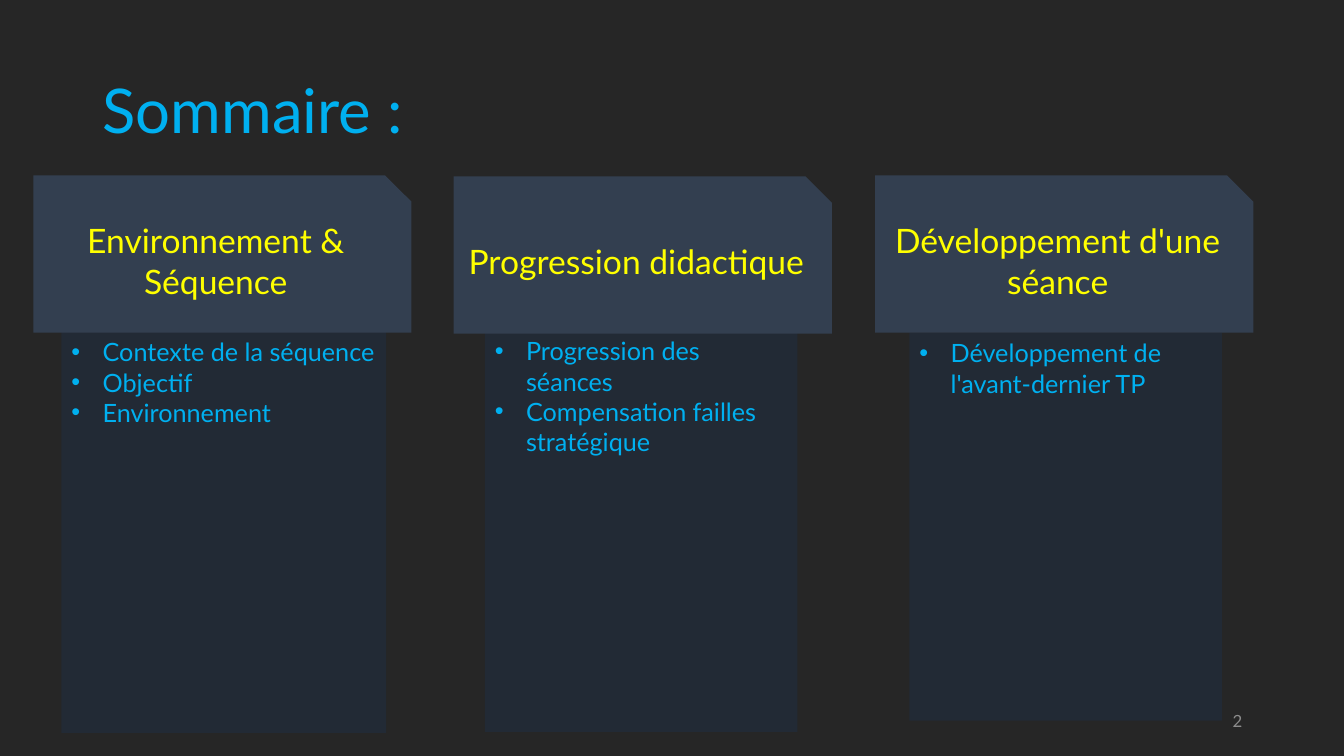
"""Build the "Sommaire" slide: three headed columns listing the parts of the talk."""
from lxml.etree import SubElement
from pptx import Presentation
from pptx.dml.color import RGBColor
from pptx.enum.shapes import MSO_SHAPE
from pptx.enum.text import MSO_ANCHOR, PP_ALIGN
from pptx.oxml.ns import qn
from pptx.util import Inches, Pt

COLORS = {
    "background": "262626",
    "panel": "222A35",
    "header": "333F50",
    "blue": "00B0F0",
    "yellow": "FFFF00",
    "gray": "8C8C8C",
}
FONT = "Lato"


def write_text(box, lines, size, color, align=PP_ALIGN.LEFT,
               anchor=MSO_ANCHOR.MIDDLE, bullet=False, spacing=None):
    frame = box.text_frame
    frame.word_wrap = True
    frame.vertical_anchor = anchor
    for index, line in enumerate(lines):
        para = frame.add_paragraph() if index else frame.paragraphs[0]
        para.text = line
        para.alignment = align
        if spacing:
            para.line_spacing = spacing
        for span in para.runs:
            span.font.name = FONT
            span.font.size = Pt(size)
            span.font.color.rgb = RGBColor.from_string(COLORS[color])
        if bullet:
            properties = para._p.get_or_add_pPr()
            properties.set("marL", str(Inches(0.31)))
            properties.set("indent", str(-Inches(0.31)))
            SubElement(properties, qn("a:buFont")).set("typeface", "Arial")
            SubElement(properties, qn("a:buChar")).set("char", "•")


def add_block(page, kind, place, fill):
    block = page.shapes.add_shape(kind, *[Inches(length) for length in place])
    block.shadow.inherit = False
    block.fill.solid()
    block.fill.fore_color.rgb = RGBColor.from_string(COLORS[fill])
    block.line.fill.background()
    return block


deck = Presentation()
deck.slide_width = Inches(13.33)
deck.slide_height = Inches(7.5)
page = deck.slides.add_slide(deck.slide_layouts[6])
page.background.fill.solid()
page.background.fill.fore_color.rgb = RGBColor.from_string(COLORS["background"])

title = page.shapes.add_textbox(Inches(0.92), Inches(0.4), Inches(5.82), Inches(1.45))
write_text(title, ["Sommaire :"], 44, "blue", spacing=0.9)

columns = [
    ("Environnement &\nSéquence", (0.33, 1.74), (0.61, 3.29, 3.22, 3.98),
     ["Contexte de la séquence", "Objectif", "Environnement"]),
    ("Progression didactique", (4.5, 1.75), (4.81, 3.28, 3.1, 3.98),
     ["Progression des séances", "Compensation failles stratégique"]),
    ("Développement d'une séance", (8.68, 1.74), (9.02, 3.3, 3.1, 3.85),
     ["Développement de l'avant-dernier TP"]),
]
for heading, corner, panel_place, topics in columns:
    panel = add_block(page, MSO_SHAPE.RECTANGLE, panel_place, "panel")
    write_text(panel, topics, 18, "blue", anchor=MSO_ANCHOR.TOP, bullet=True)
    header = add_block(page, MSO_SHAPE.SNIP_1_RECTANGLE, (*corner, 3.75, 1.56), "header")
    header.adjustments[0] = 0.167
    write_text(header, [heading], 24, "yellow", align=PP_ALIGN.CENTER)

number = page.shapes.add_textbox(Inches(9.42), Inches(6.95), Inches(3), Inches(0.4))
write_text(number, ["2"], 12, "gray", align=PP_ALIGN.RIGHT)

deck.save("out.pptx")
